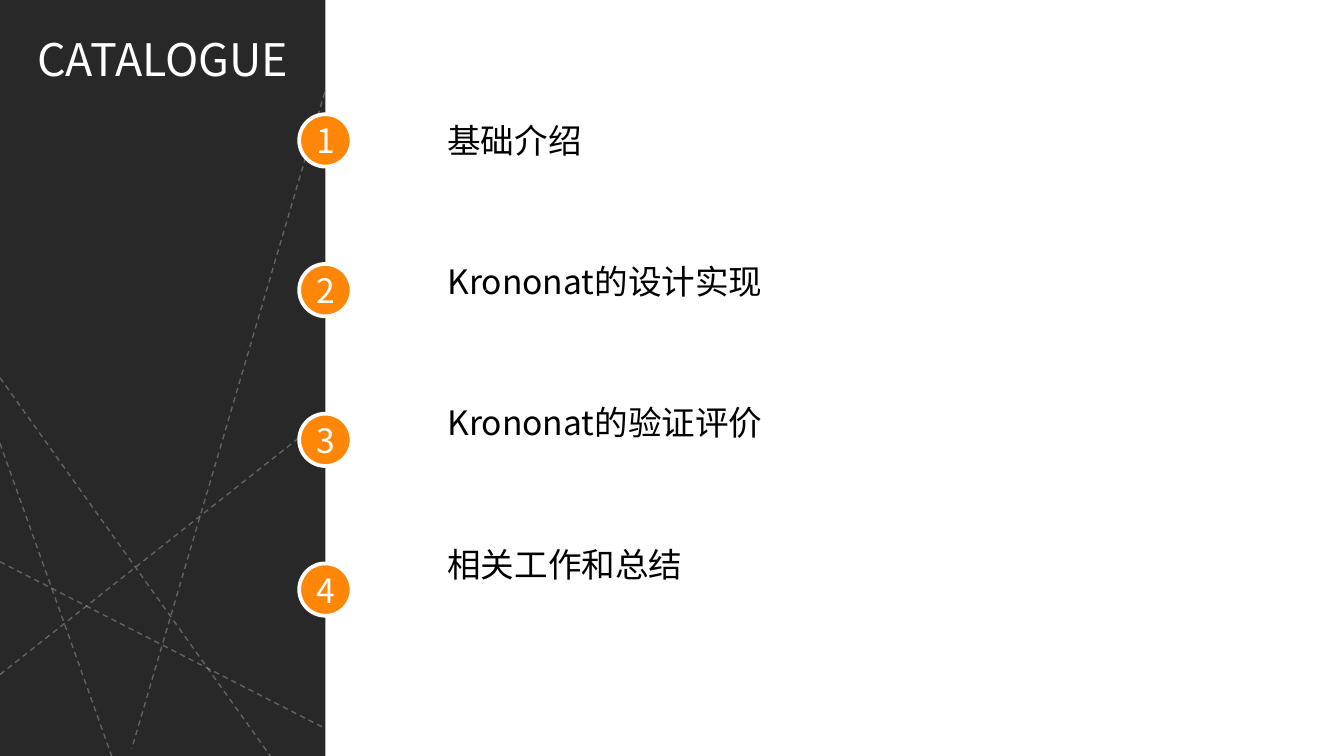
from pptx import Presentation
from pptx.dml.color import RGBColor as Color
from pptx.enum.dml import MSO_LINE
from pptx.enum.shapes import MSO_CONNECTOR as Connector, MSO_SHAPE as Shape
from pptx.enum.text import MSO_ANCHOR as Anchor, MSO_AUTO_SIZE as AutoSize, PP_ALIGN as Align
from pptx.oxml.ns import qn
from pptx.util import Cm, Pt
from lxml.etree import SubElement

# Content
TITLE = "CATALOGUE"
CHAPTERS = ["基础介绍", "Krononat的设计实现", "Krononat的验证评价", "相关工作和总结"]

# Decorative lines in cm: start x, start y, end x, end y
PANEL_LINES = [
    (0, 10.62, 7.16, 14.29),
    (0, 12.75, 13.89, 1.75),
    (0, 8.38, 2.11, 14.29),
    (6.65, 0, 2.49, 14.15),
    (0, 7.14, 5.11, 14.29),
]

THEME = {
    "font": "Noto Sans CJK SC",
    "panel": Color.from_string("282828"),
    "accent": Color.from_string("FF8607"),
    "light": Color.from_string("FFFFFF"),
    "dark": Color.from_string("000000"),
    "title_size": 24,
    "text_size": 18,
    "line_height": 1.448,  # natural line height of the font, in ems
    "line_opacity": "28000",
}

# Layout in cm
SLIDE_WIDTH, SLIDE_HEIGHT = 25.4, 14.29
PANEL_WIDTH = 6.15
BADGE_SIZE, BADGE_TOP, CHAPTER_PITCH = 0.99, 2.16, 2.83


def place(shape, left, top, width, height):
    shape.left, shape.top = Cm(left), Cm(top)
    shape.width, shape.height = Cm(width), Cm(height)


def format_text(text_frame, size, color, align):
    for paragraph in text_frame.paragraphs:
        paragraph.alignment = align
        paragraph.line_spacing = 1.0
        paragraph.space_before = Pt(0)
        for run in paragraph.runs:
            run.font.name = THEME["font"]
            run.font.size = Pt(size)
            run.font.color.rgb = color
            properties = run.font._element
            SubElement(properties, qn("a:ea")).set("typeface", THEME["font"])


def add_filled(slide, kind, box, color):
    shape = slide.shapes.add_shape(kind, *map(Cm, box))
    shape.shadow.inherit = False
    shape.fill.solid()
    shape.fill.fore_color.rgb = color
    shape.line.fill.background()
    return shape


def add_dashed_line(slide, ends):
    line = slide.shapes.add_connector(Connector.STRAIGHT, *map(Cm, ends))
    line.line.width = Pt(0.75)
    line.line.color.rgb = THEME["light"]
    line.line.dash_style = MSO_LINE.DASH
    color = line.element.spPr.find(".//" + qn("a:srgbClr"))
    SubElement(color, qn("a:alpha")).set("val", THEME["line_opacity"])
    SubElement(line.element.spPr, qn("a:effectLst"))


def add_badge(slide, number):
    left = PANEL_WIDTH - BADGE_SIZE / 2
    top = BADGE_TOP + (number - 1) * CHAPTER_PITCH
    badge = add_filled(slide, Shape.OVAL, (left, top, BADGE_SIZE, BADGE_SIZE), THEME["accent"])
    badge.line.color.rgb = THEME["light"]
    badge.line.width = Pt(2)
    text_frame = badge.text_frame
    text_frame.text = str(number)
    text_frame.word_wrap = False
    text_frame.vertical_anchor = Anchor.MIDDLE
    text_frame.margin_left = text_frame.margin_right = 0
    text_frame.margin_top = text_frame.margin_bottom = 0
    format_text(text_frame, THEME["text_size"], THEME["light"], Align.CENTER)


def fill_title(title):
    place(title, 0.33, 0.46, 5.49, 1.3)
    text_frame = title.text_frame
    text_frame.text = TITLE
    text_frame.word_wrap = False
    text_frame.auto_size = AutoSize.NONE
    text_frame.vertical_anchor = Anchor.MIDDLE
    format_text(text_frame, THEME["title_size"], THEME["light"], Align.CENTER)


def fill_chapters(body):
    place(body, 8.2, 2.13, 15.62, 9.6)
    text_frame = body.text_frame
    text_frame.text = "\n".join(CHAPTERS)
    text_frame.auto_size = AutoSize.NONE
    text_frame.vertical_anchor = Anchor.TOP
    format_text(text_frame, THEME["text_size"], THEME["dark"], Align.LEFT)
    gap = Cm(CHAPTER_PITCH).pt - THEME["text_size"] * THEME["line_height"]
    for paragraph in text_frame.paragraphs:
        paragraph.space_after = Pt(gap)
        properties = paragraph._p.get_or_add_pPr()
        properties.set("marL", "0")
        properties.set("indent", "0")
        SubElement(properties, qn("a:buNone"))


def main():
    presentation = Presentation()
    presentation.slide_width, presentation.slide_height = Cm(SLIDE_WIDTH), Cm(SLIDE_HEIGHT)
    slide = presentation.slides.add_slide(presentation.slide_layouts[1])
    title, body = slide.placeholders

    # Side panel with its dashed lines
    add_filled(slide, Shape.RECTANGLE, (0, 0, PANEL_WIDTH, SLIDE_HEIGHT), THEME["panel"])
    for ends in PANEL_LINES:
        add_dashed_line(slide, ends)

    # Title, brought in front of the panel
    fill_title(title)
    slide.shapes.element.append(title.element)

    # Numbered chapters
    for number in range(1, len(CHAPTERS) + 1):
        add_badge(slide, number)
    fill_chapters(body)

    presentation.save("out.pptx")


if __name__ == "__main__":
    main()
